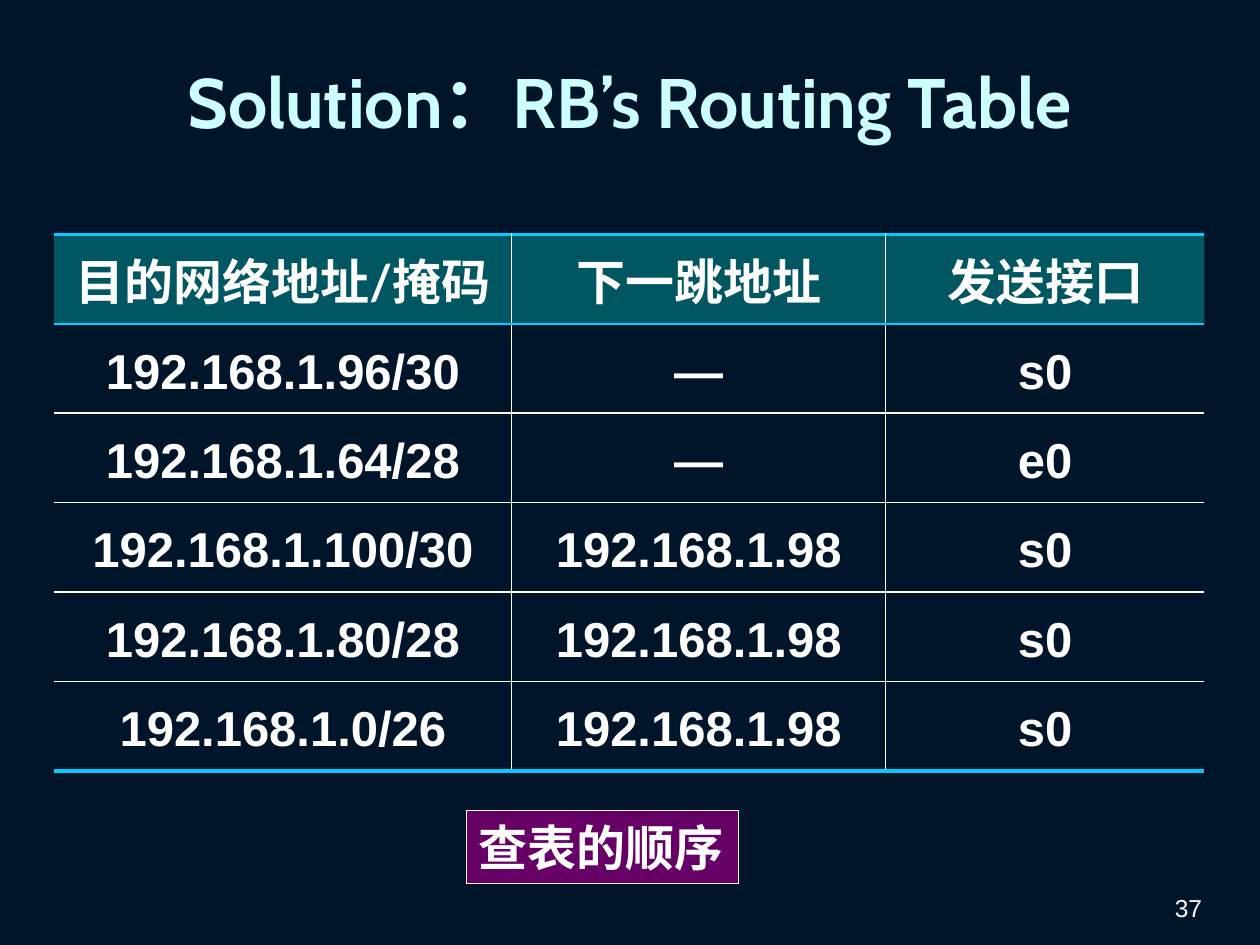
from lxml import etree
from pptx import Presentation
from pptx.dml.color import RGBColor
from pptx.enum.shapes import MSO_SHAPE
from pptx.enum.text import MSO_ANCHOR, MSO_AUTO_SIZE, PP_ALIGN
from pptx.oxml.ns import qn
from pptx.util import Inches, Pt

NAVY = RGBColor(0x00, 0x15, 0x2A)
WHITE = RGBColor(0xFF, 0xFF, 0xFF)
PALE_CYAN = RGBColor(0xCC, 0xFF, 0xFF)
CYAN = RGBColor(0x00, 0xCC, 0xFF)
TEAL = RGBColor(0x00, 0x99, 0x99)
PURPLE = RGBColor(0x66, 0x00, 0x66)

CENTER, RIGHT = PP_ALIGN.CENTER, PP_ALIGN.RIGHT
MIDDLE, BOTTOM = MSO_ANCHOR.MIDDLE, MSO_ANCHOR.BOTTOM
FIT_SHAPE = MSO_AUTO_SIZE.SHAPE_TO_FIT_TEXT
RECTANGLE = MSO_SHAPE.RECTANGLE

TITLE = {"name": "Cabin", "size": Pt(40), "bold": True}
HEADER = {"name": "Lato", "size": Pt(28), "bold": True}
VALUE = {"name": "Arial", "size": Pt(28), "bold": True}
NUMBER = {"name": "Arial", "size": Pt(14), "bold": False}

HEADERS = ["目的网络地址/掩码", "下一跳地址", "发送接口"]
ROUTES = [
    ["192.168.1.96/30", "—", "s0"],
    ["192.168.1.64/28", "—", "e0"],
    ["192.168.1.100/30", "192.168.1.98", "s0"],
    ["192.168.1.80/28", "192.168.1.98", "s0"],
    ["192.168.1.0/26", "192.168.1.98", "s0"],
]
COL_WIDTHS = [3.63, 2.97, 2.53]
ROW_HEIGHT = 0.71
VALUE_HEIGHT = 0.57


def write(tf, text, fmt, color=WHITE, align=CENTER):
    p = tf.paragraphs[0]
    p.alignment = align
    r = p.add_run()
    r.text = text
    for key, value in fmt.items():
        setattr(r.font, key, value)
    r.font.color.rgb = color
    return p


def place(sp, left, top, width, height):
    sp.left, sp.top = Inches(left), Inches(top)
    sp.width, sp.height = Inches(width), Inches(height)


def text_box(slide, left, top, width, height):
    return slide.shapes.add_textbox(
        Inches(left), Inches(top), Inches(width), Inches(height))


def add_title(slide, left, top, width, height):
    sp = slide.shapes.title
    place(sp, left, top, width, height)
    sp.text_frame.vertical_anchor = MIDDLE
    write(sp.text_frame, "Solution：RB’s Routing Table", TITLE, PALE_CYAN)


def set_borders(cell, borders):
    """Give each side a (color, points) line, or no line for None."""
    tc_pr = cell._tc.get_or_add_tcPr()
    for i, side in enumerate("LRTB"):
        ln = etree.Element(qn(f"a:ln{side}"))
        tc_pr.insert(i, ln)
        if borders[side] is None:
            etree.SubElement(ln, qn("a:noFill"))
            continue
        color, points = borders[side]
        ln.set("w", str(Pt(points)))
        fill = etree.SubElement(ln, qn("a:solidFill"))
        etree.SubElement(fill, qn("a:srgbClr"), val=str(color))


def format_header(cell, text):
    cell.vertical_anchor = MIDDLE
    cell.margin_left = cell.margin_right = Inches(0.06)
    p = write(cell.text_frame, text, HEADER)
    before = etree.SubElement(p._p.get_or_add_pPr(), qn("a:spcBef"))
    etree.SubElement(before, qn("a:spcPct"), val="30000")
    cell.fill.solid()
    cell.fill.fore_color.rgb = TEAL
    color = cell._tc.tcPr.find(".//" + qn("a:srgbClr"))
    etree.SubElement(color, qn("a:alpha"), val="50000")


def add_grid(slide, left, top):
    n_rows, n_cols = len(ROUTES) + 1, len(COL_WIDTHS)
    table = slide.shapes.add_table(
        n_rows, n_cols, Inches(left), Inches(top),
        Inches(sum(COL_WIDTHS)), Inches(ROW_HEIGHT * n_rows)).table
    table.horz_banding = table.first_row = False
    for col, width in zip(table.columns, COL_WIDTHS):
        col.width = Inches(width)
    for row in table.rows:
        row.height = Inches(ROW_HEIGHT)

    # Horizontal rules from top to bottom: heavy outside, cyan under the header
    thin, heavy = (WHITE, 1), (CYAN, 2.25)
    rules = [heavy, (CYAN, 1)] + [thin] * (n_rows - 2) + [heavy]
    for i in range(n_rows):
        for j in range(n_cols):
            cell = table.cell(i, j)
            if i == 0:
                format_header(cell, HEADERS[j])
            else:
                cell.fill.background()
            set_borders(cell, {
                "L": thin if j > 0 else None,
                "R": thin if j < n_cols - 1 else None,
                "T": rules[i],
                "B": rules[i + 1],
            })


def value_width(text):
    """Width of a 28 pt value in inches, with the side insets."""
    glyphs = {".": 0.108, "/": 0.108, "—": 0.39}
    return 0.2 + sum(glyphs.get(ch, 0.216) for ch in text)


def add_values(slide, left, top):
    for i, route in enumerate(ROUTES):
        y = top + ROW_HEIGHT * (i + 1) + 0.08
        for j, text in enumerate(route):
            center = left + sum(COL_WIDTHS[:j]) + COL_WIDTHS[j] / 2
            width = value_width(text)
            tf = text_box(slide, center - width / 2, y,
                          width, VALUE_HEIGHT).text_frame
            tf.word_wrap = False
            tf.auto_size = FIT_SHAPE
            write(tf, text, VALUE)


def add_order_label(slide, left, top, width, height):
    sp = slide.shapes.add_shape(
        RECTANGLE, Inches(left), Inches(top), Inches(width), Inches(height))
    sp.shadow.inherit = False
    sp.fill.solid()
    sp.fill.fore_color.rgb = PURPLE
    sp.line.color.rgb = WHITE
    sp.line.width = Pt(0.75)
    tf = sp.text_frame
    tf.word_wrap = False
    tf.auto_size = FIT_SHAPE
    write(tf, "查表的顺序", HEADER, align=PP_ALIGN.LEFT)


def add_page_number(slide, left, top, width, height):
    tf = text_box(slide, left, top, width, height).text_frame
    tf.word_wrap = True
    tf.vertical_anchor = BOTTOM
    write(tf, "37", NUMBER, align=RIGHT)


def main():
    prs = Presentation()
    prs.slide_width, prs.slide_height = Inches(10), Inches(7.5)
    slide = prs.slides.add_slide(prs.slide_layouts[5])
    slide.background.fill.solid()
    slide.background.fill.fore_color.rgb = NAVY

    add_page_number(slide, 7.31, 6.9, 2.33, 0.47)
    add_title(slide, 0.35, 0.13, 9.29, 1.34)
    # Routing table: ruled grid with the values laid over it
    add_grid(slide, 0.43, 1.86)
    add_values(slide, 0.43, 1.86)
    add_order_label(slide, 3.7, 6.43, 2.16, 0.58)
    prs.save("out.pptx")


if __name__ == "__main__":
    main()
